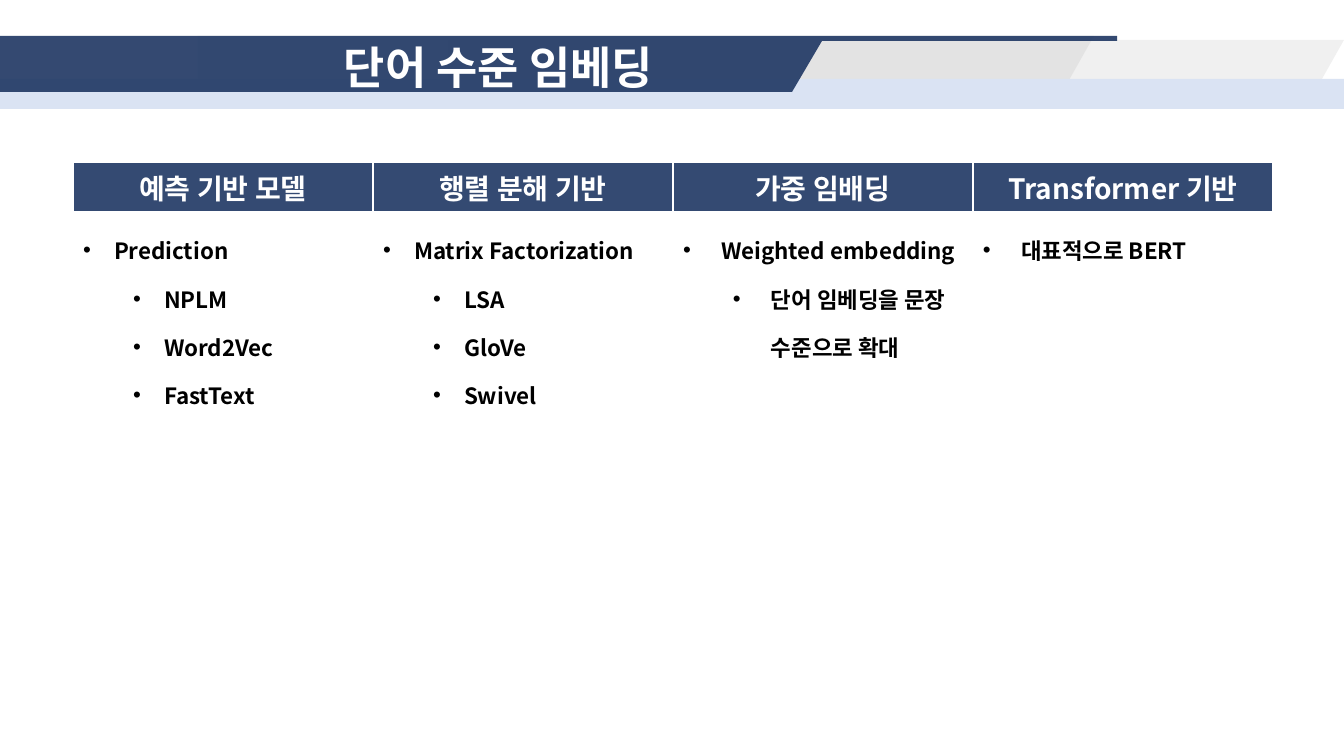
from dataclasses import dataclass

from lxml import etree
from pptx import Presentation
from pptx.dml.color import RGBColor
from pptx.enum.shapes import MSO_SHAPE
from pptx.enum.text import MSO_ANCHOR, MSO_AUTO_SIZE, PP_ALIGN
from pptx.oxml.ns import qn
from pptx.util import Pt

CENTER, LEFT = PP_ALIGN.CENTER, PP_ALIGN.LEFT
MIDDLE, NO_FIT = MSO_ANCHOR.MIDDLE, MSO_AUTO_SIZE.NONE
RECT = MSO_SHAPE.RECTANGLE

# Content: heading, hanging indent in px, (level, text) bullets
TITLE = "단어 수준 임베딩"
MODELS = [
    ("예측 기반 모델", 31,
     [(0, "Prediction"), (1, "NPLM"), (1, "Word2Vec"), (1, "FastText")]),
    ("행렬 분해 기반", 31,
     [(0, "Matrix Factorization"), (1, "LSA"), (1, "GloVe"), (1, "Swivel")]),
    ("가중 임배딩", 38,
     [(0, "Weighted embedding"), (1, "단어 임베딩을 문장 수준으로 확대")]),
    ("Transformer 기반", 38, [(0, "대표적으로 BERT")]),
]


@dataclass(frozen=True)
class Theme:
    font: str = "Noto Sans CJK KR"
    white: str = "FFFFFF"
    black: str = "000000"
    gray: str = "A5A5A5"
    pale: str = "DAE3F3"
    navy: str = "203864"
    head: str = "344A72"
    title_size: int = 32
    head_size: int = 20
    body_size: int = 16


THEME = Theme()

# Layout in px
SCALE = 914400 / 100.8
WIDE, HIGH = 1344, 756
TITLE_BOX = (169, 40, 659, 53)
PALE_BAR = (0, 79, WIDE, 30)
BANDS = [(448, 40), (198, 36)]
BAND_W, BAND_H, SLANT = 896, 62, 35
BANNER = [(0, 36), (1117, 36), (1117, 41), (822, 41), (792, 92), (0, 92)]
GRID_X, GRID_Y, COL_W = 73, 162, 300
ROWS = [32, 136, 136]
STEP = 50


def px(n):
    return round(n * SCALE)


def color(code):
    return RGBColor.from_string(code)


def paint(shape, code, alpha=100):
    shape.shadow.inherit = False
    shape.line.fill.background()
    shape.fill.solid()
    shape.fill.fore_color.rgb = color(code)
    if alpha < 100:
        tone = shape.fill._xPr.find(".//" + qn("a:srgbClr"))
        etree.SubElement(tone, qn("a:alpha"), val=str(alpha * 1000))


def outline(slide, points, code, alpha):
    pen = slide.shapes.build_freeform(*points[0], scale=SCALE)
    pen.add_line_segments(points[1:], close=True)
    paint(pen.convert_to_shape(), code, alpha)


def write(para, text, size, code, align):
    para.alignment = align
    run = para.add_run()
    run.text = text
    font = run.font
    font.name, font.size, font.bold = THEME.font, Pt(size), True
    font.color.rgb = color(code)
    etree.SubElement(run._r.get_or_add_rPr(), qn("a:ea"), typeface=THEME.font)


def bullet(para, level, hang):
    para.level = level
    para.line_spacing = 1.5
    props = para._p.get_or_add_pPr()
    props.set("marL", str(px(hang + level * STEP)))
    props.set("indent", str(-px(hang)))
    etree.SubElement(props, qn("a:buFont"), typeface="Arial")
    etree.SubElement(props, qn("a:buChar"), char="•")


def edge(cell, base):
    props = cell._tc.get_or_add_tcPr()
    for spot, (side, width) in enumerate(
            [("L", 1), ("R", 1), ("T", 1), ("B", base)]):
        line = etree.Element(qn("a:ln" + side), w=str(Pt(width)))
        fill = etree.SubElement(line, qn("a:solidFill"))
        etree.SubElement(fill, qn("a:srgbClr"), val=THEME.white)
        props.insert(spot, line)


def draw_banner(slide):
    for x, y in BANDS:
        right, low = x + BAND_W, y + BAND_H
        points = [(x, y), (right, y), (right - SLANT, low), (x, low)]
        outline(slide, points, THEME.gray, 16)
    bar = slide.shapes.add_shape(RECT, *map(px, PALE_BAR))
    paint(bar, THEME.pale)
    outline(slide, BANNER, THEME.navy, 91)


def draw_title(slide):
    title = slide.shapes.title
    title.left, title.top, title.width, title.height = map(px, TITLE_BOX)
    frame = title.text_frame
    frame.auto_size, frame.vertical_anchor = NO_FIT, MIDDLE
    write(frame.paragraphs[0], TITLE, THEME.title_size, THEME.white, CENTER)
    # Bring the title in front of the banner
    slide.shapes._spTree.append(title._element)


def draw_table(slide):
    count = len(MODELS)
    size = (GRID_X, GRID_Y, COL_W * count, sum(ROWS))
    table = slide.shapes.add_table(len(ROWS), count, *map(px, size)).table
    table.horz_banding = False
    for row, height in zip(table.rows, ROWS):
        row.height = px(height)
    for col, (name, hang, items) in enumerate(MODELS):
        table.columns[col].width = px(COL_W)
        head, body, rest = (table.cell(r, col) for r in range(len(ROWS)))
        head.fill.solid()
        head.fill.fore_color.rgb = color(THEME.head)
        write(head.text_frame.paragraphs[0], name, THEME.head_size,
              THEME.white, CENTER)
        edge(head, 3)
        for cell in (body, rest):
            cell.fill.background()
            edge(cell, 1)
        frame = body.text_frame
        for i, (level, text) in enumerate(items):
            para = frame.add_paragraph() if i else frame.paragraphs[0]
            bullet(para, level, hang)
            write(para, text, THEME.body_size, THEME.black, LEFT)


def main():
    deck = Presentation()
    deck.slide_width, deck.slide_height = px(WIDE), px(HIGH)
    slide = deck.slides.add_slide(deck.slide_layouts[5])
    draw_banner(slide)
    draw_title(slide)
    draw_table(slide)
    deck.save("out.pptx")


if __name__ == "__main__":
    main()
